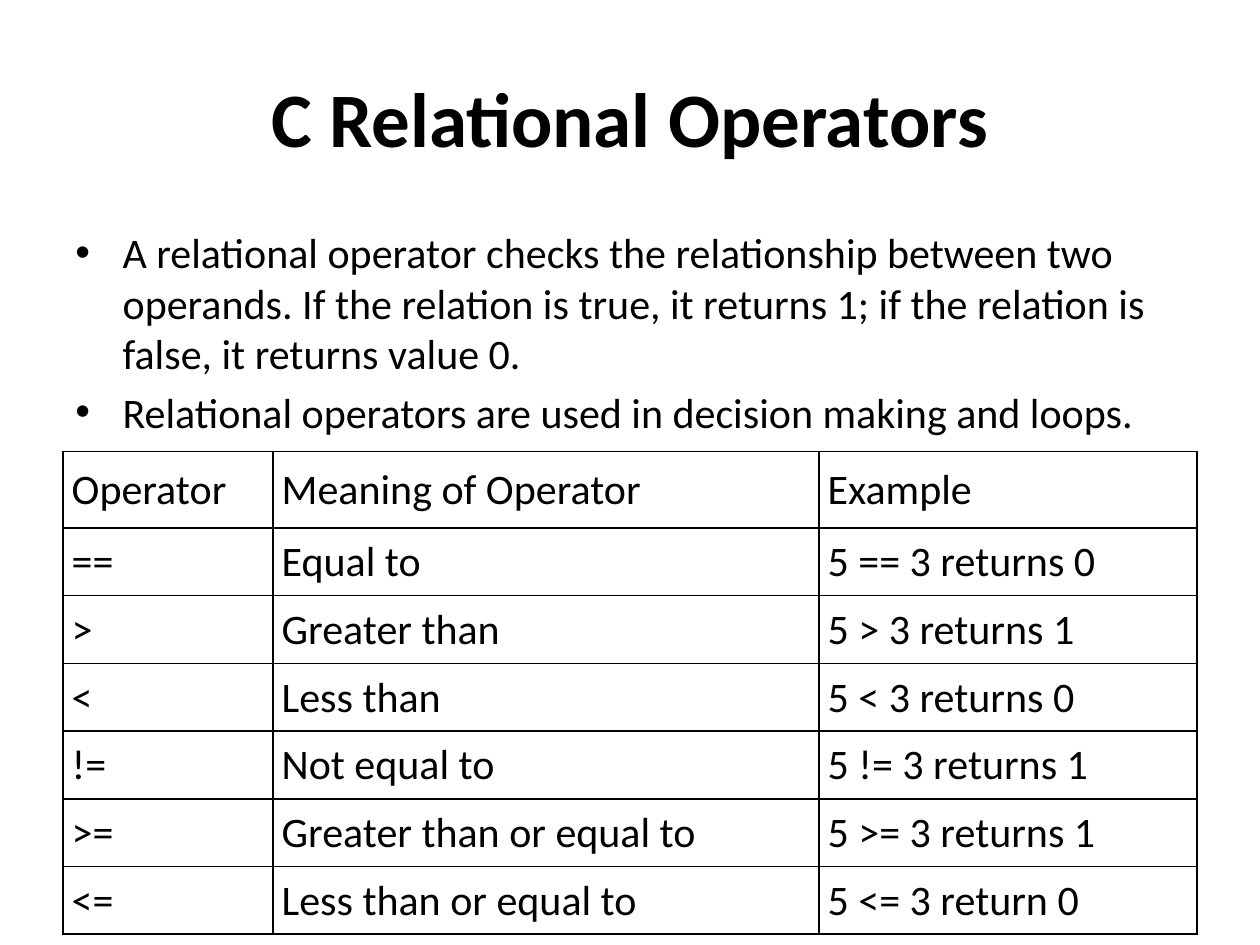
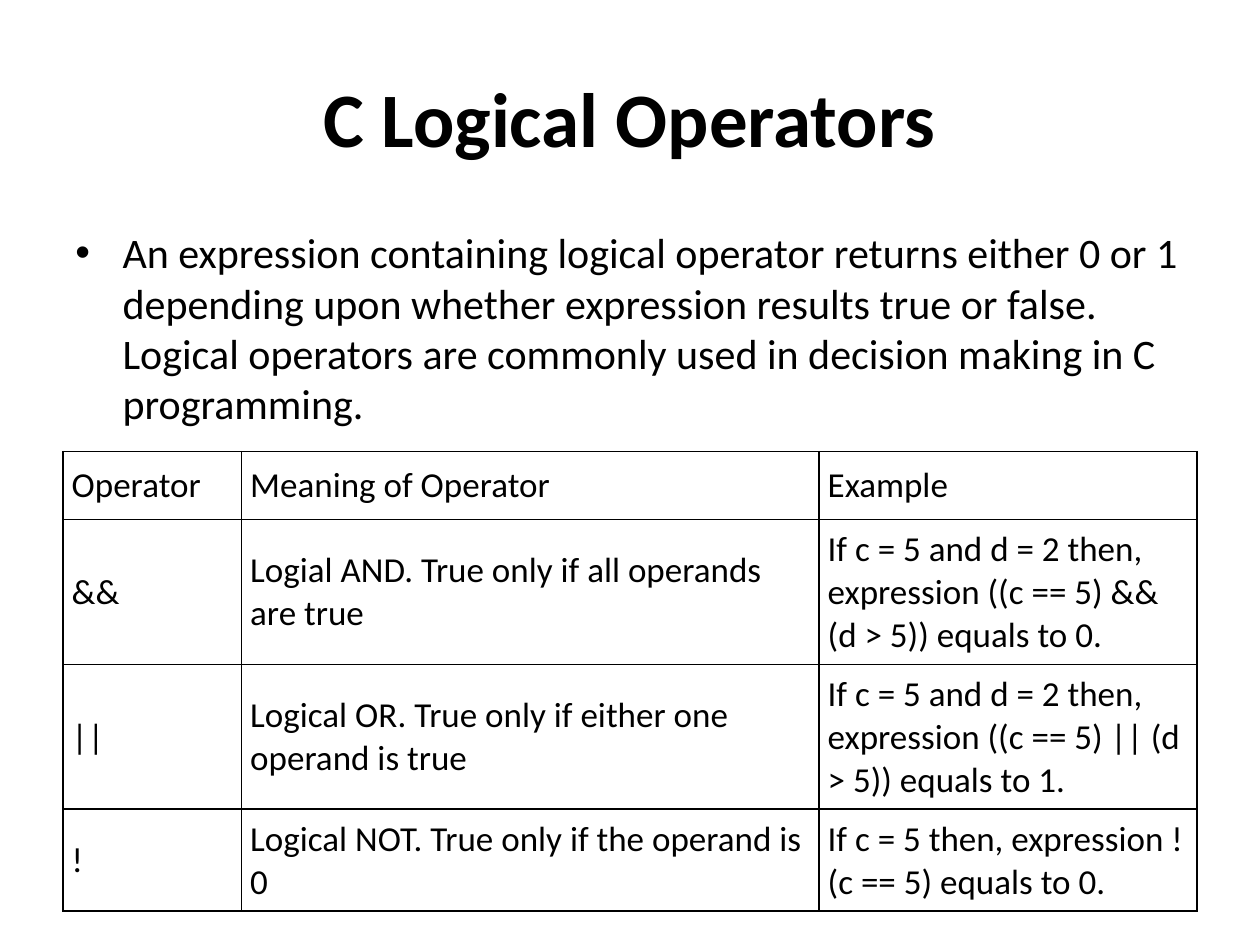
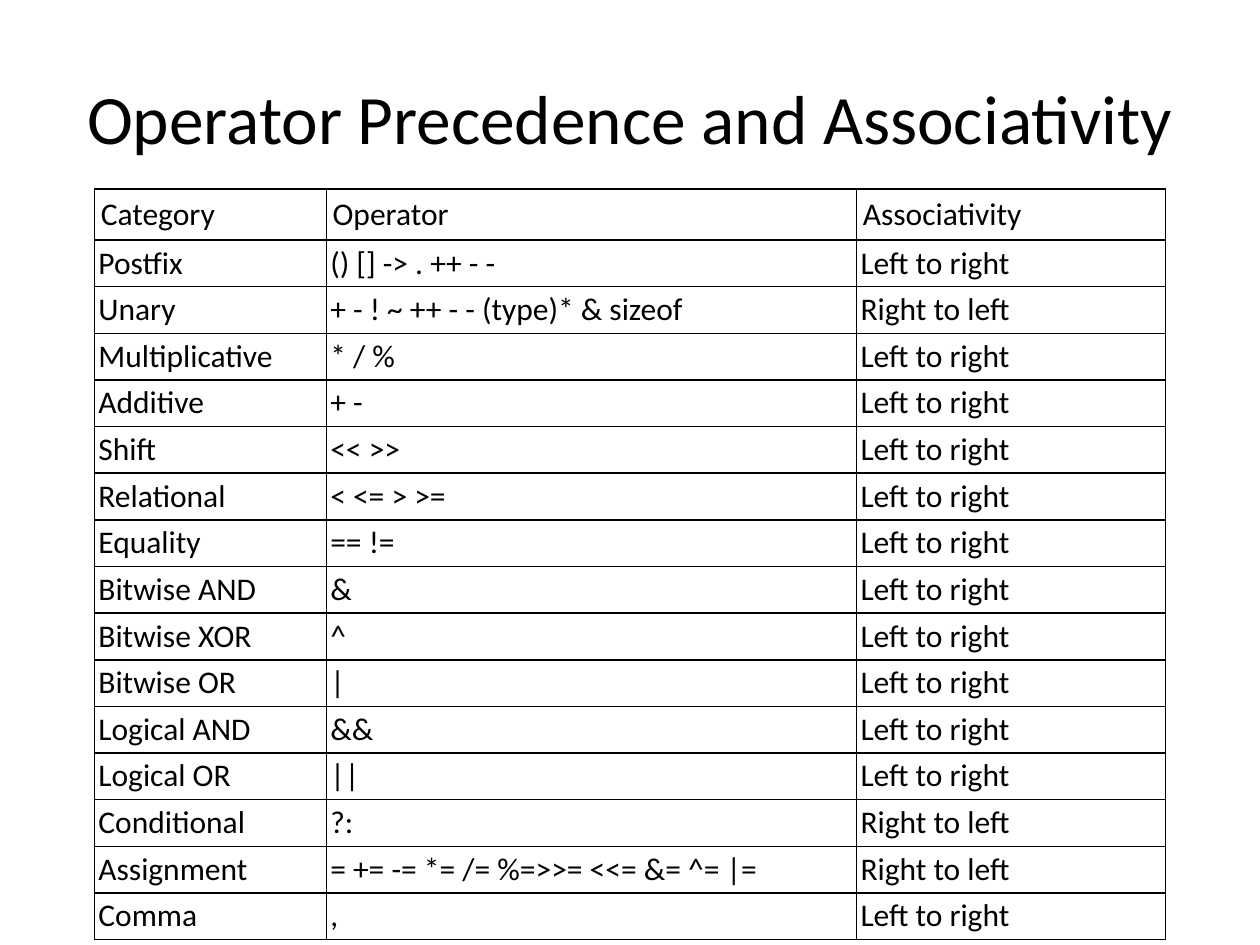
from dataclasses import dataclass

from lxml.etree import SubElement
from pptx import Presentation
from pptx.dml.color import RGBColor
from pptx.enum.text import MSO_ANCHOR as Anchor, PP_ALIGN as Align
from pptx.oxml.ns import qn
from pptx.slide import Slide
from pptx.table import _Cell as Cell
from pptx.text.text import _Paragraph as Paragraph
from pptx.util import Pt

COLORS = {"text": "000000", "border": "000000", "background": "FFFFFF"}
FONT = "Calibri"
MARGIN = 36
CONTENT_WIDTH = 648
BULLET_INDENT = 27
BODY_SIZE = 24
BORDER_WIDTH = 1


@dataclass(frozen=True)
class Insets:
    left: float
    top: float
    right: float
    bottom: float


@dataclass(frozen=True)
class TableStyle:
    header_insets: Insets
    body_insets: Insets
    anchor: Anchor


@dataclass(frozen=True)
class OperatorTable:
    left: float
    top: float
    column_widths: list[float]
    row_heights: list[float]
    size: float
    style: TableStyle
    rows: list[tuple[str, str, str]]


@dataclass(frozen=True)
class OperatorSlide:
    title: str
    title_size: float
    title_bold: bool
    bullets: list[str]
    table: OperatorTable


ROOMY = TableStyle(Insets(5, 7.2, 4.3, 7.2), Insets(5, 5, 4.3, 4.3), Anchor.MIDDLE)
COMPACT = TableStyle(Insets(3.6, 3.6, 3.6, 3.6), Insets(2.25, 2.25, 2.25, 2.25), Anchor.TOP)

LEFT_TO_RIGHT = "Left to right"
RIGHT_TO_LEFT = "Right to left"

SLIDES = [
    OperatorSlide(
        "C Relational Operators", 44, True,
        [
            "A relational operator checks the relationship between two operands. "
            "If the relation is true, it returns 1; if the relation is false, it returns value 0.",
            "Relational operators are used in decision making and loops.",
        ],
        OperatorTable(
            MARGIN, 258, [120, 312, 216], [43.7] + [38.7] * 6, 24, ROOMY,
            [
                ("Operator", "Meaning of Operator", "Example"),
                ("==", "Equal to", "5 == 3 returns 0"),
                (">", "Greater than", "5 > 3 returns 1"),
                ("<", "Less than", "5 < 3 returns 0"),
                ("!=", "Not equal to", "5 != 3 returns 1"),
                (">=", "Greater than or equal to", "5 >= 3 returns 1"),
                ("<=", "Less than or equal to", "5 <= 3 return 0"),
            ],
        ),
    ),
    OperatorSlide(
        "C Logical Operators", 44, True,
        [
            "An expression containing logical operator returns either 0 or 1 depending upon "
            "whether expression results true or false. Logical operators are commonly used "
            "in decision making in C programming.",
        ],
        OperatorTable(
            MARGIN, 258, [102, 330, 216], [38.8, 82.8, 82.8, 58.2], 20, ROOMY,
            [
                ("Operator", "Meaning of Operator", "Example"),
                ("&&", "Logial AND. True only if all operands are true",
                 "If c = 5 and d = 2 then, expression ((c == 5) && (d > 5)) equals to 0."),
                ("||", "Logical OR. True only if either one operand is true",
                 "If c = 5 and d = 2 then, expression ((c == 5) || (d > 5)) equals to 1."),
                ("!", "Logical NOT. True only if the operand is 0",
                 "If c = 5 then, expression ! (c == 5) equals to 0."),
            ],
        ),
    ),
    OperatorSlide(
        "Operator Precedence and Associativity", 39.6, False, [],
        OperatorTable(
            54, 108, [132.5, 303, 176.5], [29.2] + [26.65] * 15, 18, COMPACT,
            [
                ("Category", "Operator", "Associativity"),
                ("Postfix", "() [] -> . ++ - -", LEFT_TO_RIGHT),
                ("Unary", "+ - ! ~ ++ - - (type)* & sizeof", RIGHT_TO_LEFT),
                ("Multiplicative", "* / %", LEFT_TO_RIGHT),
                ("Additive", "+ -", LEFT_TO_RIGHT),
                ("Shift", "<< >>", LEFT_TO_RIGHT),
                ("Relational", "< <= > >=", LEFT_TO_RIGHT),
                ("Equality", "== !=", LEFT_TO_RIGHT),
                ("Bitwise AND", "&", LEFT_TO_RIGHT),
                ("Bitwise XOR", "^", LEFT_TO_RIGHT),
                ("Bitwise OR", "|", LEFT_TO_RIGHT),
                ("Logical AND", "&&", LEFT_TO_RIGHT),
                ("Logical OR", "||", LEFT_TO_RIGHT),
                ("Conditional", "?:", RIGHT_TO_LEFT),
                ("Assignment", "= += -= *= /= %=>>= <<= &= ^= |=", RIGHT_TO_LEFT),
                ("Comma", ",", LEFT_TO_RIGHT),
            ],
        ),
    ),
]


def add_run(paragraph: Paragraph, text: str, size: float, bold: bool = False) -> None:
    run = paragraph.add_run()
    run.text = text
    run.font.name = FONT
    run.font.size = Pt(size)
    run.font.bold = bold
    run.font.color.rgb = RGBColor.from_string(COLORS["text"])


def add_title(slide: Slide, text: str, size: float, bold: bool) -> None:
    box = slide.shapes.add_textbox(Pt(MARGIN), Pt(21.6), Pt(CONTENT_WIDTH), Pt(90))
    frame = box.text_frame
    frame.word_wrap = True
    frame.vertical_anchor = Anchor.MIDDLE
    paragraph = frame.paragraphs[0]
    paragraph.alignment = Align.CENTER
    add_run(paragraph, text, size, bold)


def add_bullets(slide: Slide, bullets: list[str]) -> None:
    box = slide.shapes.add_textbox(Pt(MARGIN), Pt(126), Pt(CONTENT_WIDTH), Pt(356.4))
    frame = box.text_frame
    frame.word_wrap = True
    for index, text in enumerate(bullets):
        paragraph = frame.add_paragraph() if index else frame.paragraphs[0]
        paragraph.space_before = Pt(0.2 * BODY_SIZE)
        properties = paragraph._p.get_or_add_pPr()
        properties.set("marL", str(Pt(BULLET_INDENT)))
        properties.set("indent", str(-Pt(BULLET_INDENT)))
        SubElement(properties, qn("a:buFont"), typeface="Arial")
        SubElement(properties, qn("a:buChar"), char="•")
        add_run(paragraph, text, BODY_SIZE)


def add_borders(cell: Cell) -> None:
    properties = cell._tc.get_or_add_tcPr()
    for side in ("L", "R", "T", "B"):
        line = SubElement(properties, qn(f"a:ln{side}"), w=str(Pt(BORDER_WIDTH)))
        fill = SubElement(line, qn("a:solidFill"))
        SubElement(fill, qn("a:srgbClr"), val=COLORS["border"])


def fill_cell(cell: Cell, text: str, size: float, insets: Insets, anchor: Anchor) -> None:
    add_borders(cell)
    cell.fill.background()
    cell.vertical_anchor = anchor
    cell.margin_left, cell.margin_top = Pt(insets.left), Pt(insets.top)
    cell.margin_right, cell.margin_bottom = Pt(insets.right), Pt(insets.bottom)
    add_run(cell.text_frame.paragraphs[0], text, size)


def add_operator_table(slide: Slide, content: OperatorTable) -> None:
    table = slide.shapes.add_table(
        len(content.rows), len(content.column_widths), Pt(content.left), Pt(content.top),
        Pt(sum(content.column_widths)), Pt(sum(content.row_heights)),
    ).table
    table.first_row = False
    table.horz_banding = False
    for column, width in zip(table.columns, content.column_widths):
        column.width = Pt(width)
    for row, height in zip(table.rows, content.row_heights):
        row.height = Pt(height)
    style = content.style
    for row_index, texts in enumerate(content.rows):
        insets = style.body_insets if row_index else style.header_insets
        for column_index, text in enumerate(texts):
            cell = table.cell(row_index, column_index)
            fill_cell(cell, text, content.size, insets, style.anchor)


def main() -> None:
    presentation = Presentation()
    presentation.slide_width, presentation.slide_height = Pt(720), Pt(540)
    blank_layout = presentation.slide_layouts[6]
    for content in SLIDES:
        slide = presentation.slides.add_slide(blank_layout)
        background = slide.background.fill
        background.solid()
        background.fore_color.rgb = RGBColor.from_string(COLORS["background"])
        add_title(slide, content.title, content.title_size, content.title_bold)
        if content.bullets:
            add_bullets(slide, content.bullets)
        add_operator_table(slide, content.table)
    presentation.save("out.pptx")


if __name__ == "__main__":
    main()
